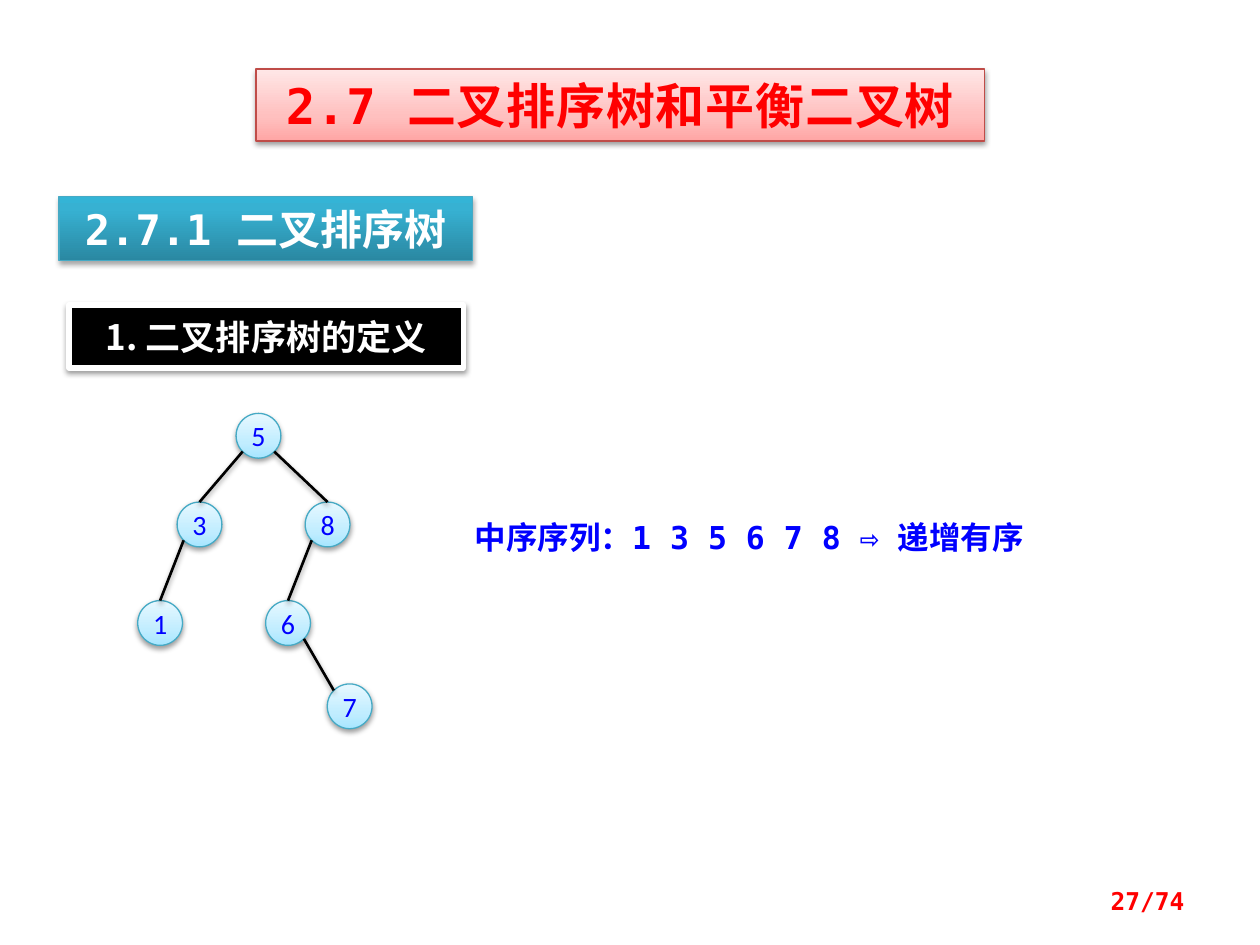
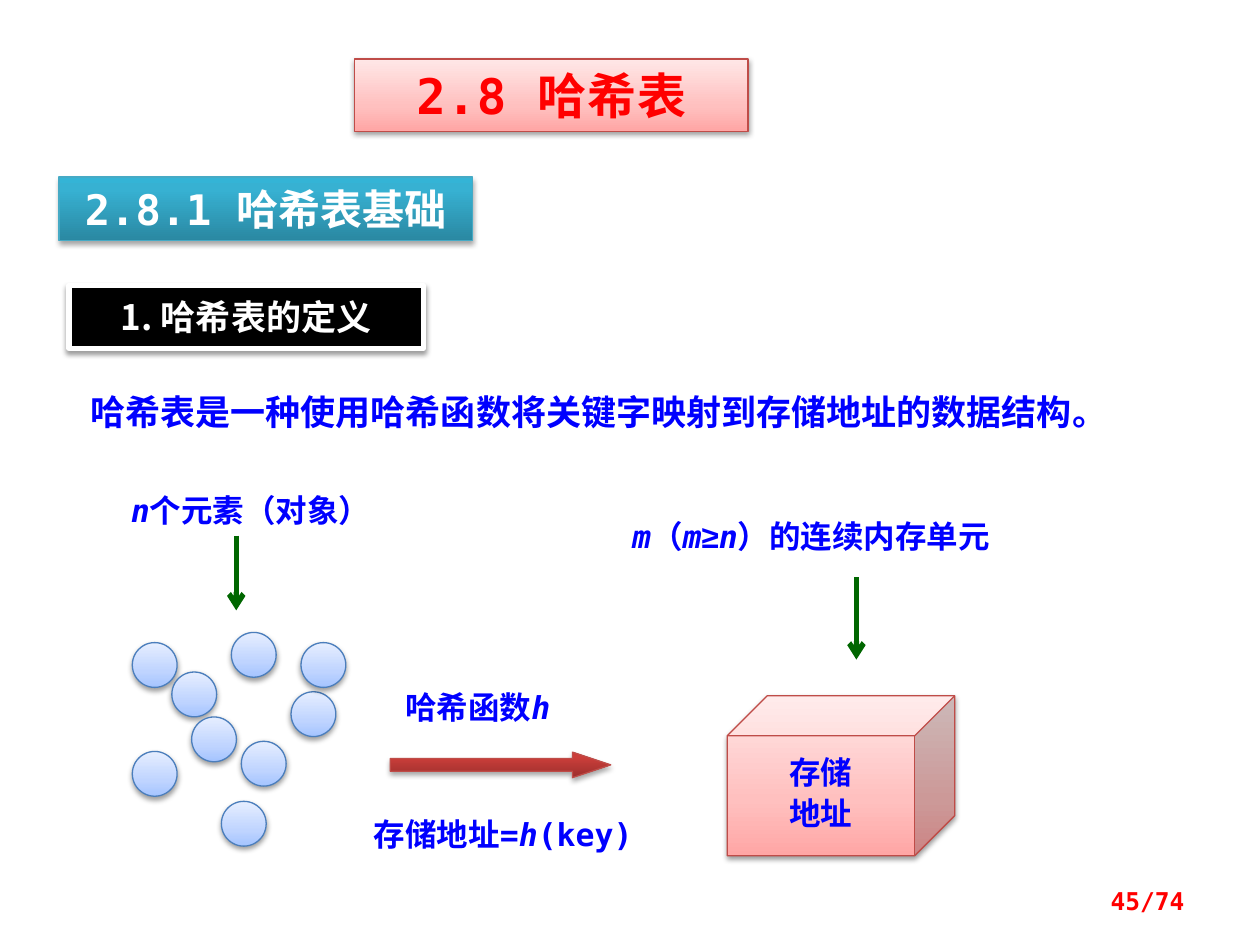
from dataclasses import dataclass
from math import cos, radians, sin
from typing import NamedTuple

from lxml.etree import SubElement
from pptx import Presentation
from pptx.dml.color import RGBColor
from pptx.enum.shapes import MSO_CONNECTOR, MSO_SHAPE
from pptx.enum.text import MSO_ANCHOR, MSO_AUTO_SIZE, PP_ALIGN
from pptx.oxml.ns import qn
from pptx.util import Pt


class Paint(NamedTuple):
    """Gradient stops as (percent, colour) from bottom to top, and the outline."""
    stops: tuple
    line: str


class Shadow(NamedTuple):
    alpha: int
    distance: float


@dataclass(frozen=True)
class Theme:
    mono: str = "DejaVu Sans Mono"
    han: str = "Noto Sans CJK SC"
    digits: str = "Calibri"
    symbol: str = "Arial"
    red: str = "FF0000"
    blue: str = "0000FF"
    green: str = "006600"
    black: str = "000000"
    white: str = "FFFFFF"
    title_size: float = 28
    section_size: float = 24
    topic_size: float = 20
    text_size: float = 18
    node_size: float = 16
    number_size: float = 14
    pink: Paint = Paint(((0, "FFA6A5"), (35, "FFC0BF"), (100, "FFE7E7")), "BF4C48")
    teal: Paint = Paint(((0, "2A88A2"), (80, "37B1D2"), (100, "34B4D6")), "46AAC5")
    aqua: Paint = Paint(((0, "A7E6FF"), (35, "C1EDFF"), (100, "E7F8FF")), "46AAC5")
    sky: Paint = Paint(((0, "A4C4FF"), (35, "BFD4FF"), (100, "E6EEFF")), "4B7EBC")
    crimson: Paint = Paint(((0, "9C2F2D"), (80, "CB3E3A"), (100, "CE3B37")), "BF4C48")
    soft: Shadow = Shadow(38, 1.6)
    strong: Shadow = Shadow(35, 1.8)


THEME = Theme()


class Box(NamedTuple):
    left: float
    top: float
    width: float
    height: float

    def lengths(self) -> list:
        return [Pt(value) for value in self]


class Style(NamedTuple):
    size: float
    color: str
    font: str = THEME.mono
    bold: bool = True
    align: PP_ALIGN = PP_ALIGN.LEFT
    anchor: MSO_ANCHOR = MSO_ANCHOR.TOP
    spacing: float = 1.0
    margins: tuple = (7.2, 3.6)
    tracking: int = 0


class Span(NamedTuple):
    text: str
    italic: bool = False
    font: str = ""


class Node(NamedTuple):
    left: float
    top: float


class Edge(NamedTuple):
    """Angles run clockwise from the right-hand side of a node."""
    parent: int
    child: int
    parent_angle: int
    child_angle: int = 270


class Heading(NamedTuple):
    title: str
    title_box: Box
    section: str
    section_top: float
    topic: str
    topic_width: float
    number: str


CENTERED = {"align": PP_ALIGN.CENTER, "anchor": MSO_ANCHOR.MIDDLE}
TITLE = Style(THEME.title_size, THEME.red, tracking=50, **CENTERED)
SECTION = Style(THEME.section_size, THEME.white, **CENTERED)
TOPIC = Style(THEME.topic_size, THEME.white, THEME.han, **CENTERED)
NODE = Style(THEME.node_size, THEME.blue, THEME.digits, False, margins=(0, 0), **CENTERED)
NUMBER = Style(THEME.number_size, THEME.red, align=PP_ALIGN.RIGHT, anchor=MSO_ANCHOR.MIDDLE)
DEFINITION = Style(THEME.topic_size, THEME.blue, THEME.han)
SEQUENCE = Style(THEME.text_size, THEME.blue)
LABEL = Style(THEME.text_size, THEME.blue, spacing=0.8)
CUBE = Style(THEME.text_size, THEME.blue, THEME.han, spacing=0.8, margins=(7.2, 11.5), **CENTERED)

NUMBER_BOX = Box(516.2, 500.4, 167.8, 28.8)
TOPIC_DROP = 61.9
CIRCLE = 25.6

TREE_HEADING = Heading("2.7 二叉排序树和平衡二叉树", Box(146.2, 39.5, 416.2, 41.2),
                       "2.7.1 二叉排序树", 112.4, "1. 二叉排序树的定义", 225.4, "27/74")
TREE_NODES = {
    5: Node(134.9, 236.2),
    3: Node(101.2, 286.9),
    8: Node(174.4, 286.9),
    1: Node(78.7, 343.2),
    6: Node(151.8, 343.2),
    7: Node(187, 390.8),
}
TREE_EDGES = (Edge(5, 3, 135), Edge(5, 8, 45), Edge(3, 1, 135),
              Edge(8, 6, 135), Edge(6, 7, 45, 225))

HASH_HEADING = Heading("2.8 哈希表", Box(202.5, 33.8, 225, 41.2),
                       "2.8.1 哈希表基础", 101.2, "1. 哈希表的定义", 202.5, "45/74")
ELEMENTS = (Node(75.6, 367.2), Node(98.2, 384), Node(109.5, 409.7),
            Node(132.2, 361.4), Node(75.6, 429.4), Node(137.9, 423.6),
            Node(166.3, 395.3), Node(126.5, 457.9), Node(172, 367.2))
HASH_LABELS = (
    (Box(224.6, 393.8, 158.4, 24.5), [Span("哈希函数"), Span("h", True)]),
    (Box(206.6, 466.6, 204.5, 24.5), [Span("存储地址="), Span("h", True), Span("(key)")]),
    (Box(67.7, 281.5, 174.2, 24.5), [Span("n", True), Span("个元素（对象）")]),
    (Box(354.2, 296.3, 270, 24.5),
     [Span("m", True), Span("（"), Span("m", True), Span("≥", font=THEME.symbol),
      Span("n", True), Span("）的连续内存单元")]),
)
DOWN_ARROWS = (((135, 306), (135, 348.8)), ((489.4, 329.8), (489.4, 376.9)))


def rgb(value: str) -> RGBColor:
    return RGBColor.from_string(value)


def write(shape, paragraphs: list, style: Style) -> None:
    """Fill a shape with paragraphs, each a list of spans."""
    frame = shape.text_frame
    frame.word_wrap = True
    frame.auto_size = MSO_AUTO_SIZE.NONE
    frame.vertical_anchor = style.anchor
    frame.margin_left = frame.margin_right = Pt(style.margins[0])
    frame.margin_top = frame.margin_bottom = Pt(style.margins[1])
    for index, spans in enumerate(paragraphs):
        para = frame.add_paragraph() if index else frame.paragraphs[0]
        para.alignment = style.align
        para.line_spacing = style.spacing
        para.space_before = Pt(6 if index else 0)
        for span in spans:
            run = para.add_run()
            run.text = span.text
            font = run.font
            font.name = span.font or style.font
            font.size = Pt(style.size)
            font.bold = style.bold
            font.italic = span.italic
            font.color.rgb = rgb(style.color)
            properties = run._r.get_or_add_rPr()
            SubElement(properties, qn("a:ea")).set("typeface", THEME.han)
            if style.tracking:
                properties.set("spc", str(style.tracking))


def cast_shadow(item, shadow: Shadow | None) -> None:
    """Set the effect list, which stays empty when there is no shadow."""
    effects = SubElement(item.element.spPr, qn("a:effectLst"))
    if shadow:
        outer = SubElement(effects, qn("a:outerShdw"), blurRad=str(Pt(3.1)),
                           dist=str(Pt(shadow.distance)), dir="5400000", rotWithShape="0")
        color = SubElement(outer, qn("a:srgbClr"), val=THEME.black)
        SubElement(color, qn("a:alpha"), val=str(shadow.alpha * 1000))


def paint(shape, look: Paint, shadow: Shadow = THEME.soft) -> None:
    shape.fill.gradient()
    shape.fill.gradient_angle = 90
    stops = shape.element.spPr.find(qn("a:gradFill")).find(qn("a:gsLst"))
    for stop in list(stops):
        stops.remove(stop)
    for percent, color in look.stops:
        stop = SubElement(stops, qn("a:gs"), pos=str(percent * 1000))
        SubElement(stop, qn("a:srgbClr"), val=color)
    shape.line.color.rgb = rgb(look.line)
    shape.line.width = Pt(0.75)
    cast_shadow(shape, shadow)


def add_painted(page, kind: MSO_SHAPE, box: Box, look: Paint, shadow: Shadow = THEME.soft):
    shape = page.shapes.add_shape(kind, *box.lengths())
    paint(shape, look, shadow)
    return shape


def add_circle(page, node: Node, look: Paint):
    return add_painted(page, MSO_SHAPE.OVAL, Box(*node, CIRCLE, CIRCLE), look)


def add_text(page, box: Box, spans: list, style: Style) -> None:
    write(page.shapes.add_textbox(*box.lengths()), [spans], style)


def add_line(page, start: tuple, end: tuple, color: str, width: float,
             shadow: Shadow | None = None, arrow: bool = False) -> None:
    ends = [Pt(value) for value in (*start, *end)]
    line = page.shapes.add_connector(MSO_CONNECTOR.STRAIGHT, *ends)
    line.line.color.rgb = rgb(color)
    line.line.width = Pt(width)
    if arrow:
        SubElement(line.line._get_or_add_ln(), qn("a:tailEnd"), type="arrow")
    cast_shadow(line, shadow)


def rim_point(node: Node, angle: int) -> tuple:
    radius = CIRCLE / 2
    return (node.left + radius * (1 + cos(radians(angle))),
            node.top + radius * (1 + sin(radians(angle))))


def add_page(deck, heading: Heading):
    """Add a slide with its title, section band, topic band and page number."""
    page = deck.slides.add_slide(deck.slide_layouts[5])
    title = page.shapes.title
    title.left, title.top, title.width, title.height = heading.title_box.lengths()
    paint(title, THEME.pink)
    write(title, [[Span(heading.title)]], TITLE)

    section_box = Box(33.8, heading.section_top, 236.2, 36.4)
    section = add_painted(page, MSO_SHAPE.RECTANGLE, section_box, THEME.teal, THEME.strong)
    write(section, [[Span(heading.section)]], SECTION)

    topic_box = Box(39.4, heading.section_top + TOPIC_DROP, heading.topic_width, 36)
    topic = page.shapes.add_shape(MSO_SHAPE.RECTANGLE, *topic_box.lengths())
    topic.fill.solid()
    topic.fill.fore_color.rgb = rgb(THEME.black)
    topic.line.color.rgb = rgb(THEME.white)
    topic.line.width = Pt(3)
    cast_shadow(topic, THEME.soft)
    write(topic, [[Span(heading.topic)]], TOPIC)

    add_text(page, NUMBER_BOX, [Span(heading.number)], NUMBER)
    return page


def build_tree_page(deck) -> None:
    page = add_page(deck, TREE_HEADING)
    for key, node in TREE_NODES.items():
        write(add_circle(page, node, THEME.aqua), [[Span(str(key))]], NODE)
    for edge in TREE_EDGES:
        add_line(page, rim_point(TREE_NODES[edge.parent], edge.parent_angle),
                 rim_point(TREE_NODES[edge.child], edge.child_angle),
                 THEME.black, 1.5, THEME.soft)
    add_text(page, Box(264.2, 292.3, 348.5, 28.8),
             [Span("中序序列：1 3 5 6 7 8 ⇨ 递增有序")], SEQUENCE)


def build_hash_page(deck) -> None:
    page = add_page(deck, HASH_HEADING)
    add_text(page, Box(44.6, 219.6, 596.2, 31.7),
             [Span("哈希表是一种使用哈希函数将关键字映射到存储地址的数据结构。")], DEFINITION)
    for element in ELEMENTS:
        add_circle(page, element, THEME.sky)
    mapping = add_painted(page, MSO_SHAPE.RIGHT_ARROW, Box(223, 429.8, 126, 14.6),
                          THEME.crimson, THEME.strong)
    mapping.adjustments[1] = 1.5
    storage = add_painted(page, MSO_SHAPE.CUBE, Box(415.6, 397.6, 130, 91.4), THEME.pink)
    write(storage, [[Span("存储")], [Span("地址")]], CUBE)
    for box, spans in HASH_LABELS:
        add_text(page, box, spans, LABEL)
    for start, end in DOWN_ARROWS:
        add_line(page, start, end, THEME.green, 3, arrow=True)


def main() -> None:
    deck = Presentation()
    deck.slide_width, deck.slide_height = Pt(720), Pt(540)
    build_tree_page(deck)
    build_hash_page(deck)
    deck.save("out.pptx")


if __name__ == "__main__":
    main()
